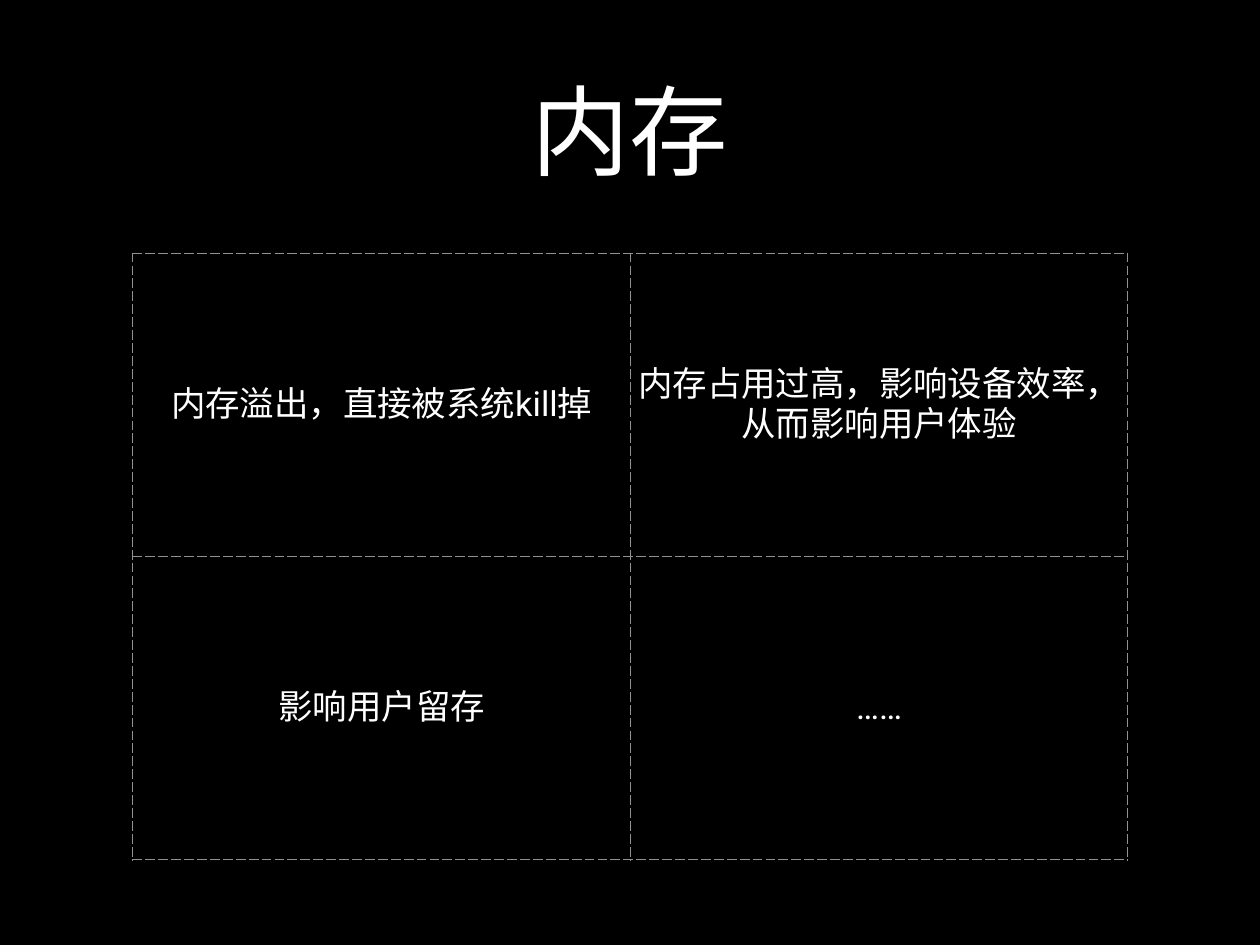
from dataclasses import dataclass

from lxml import etree
from pptx import Presentation
from pptx.dml.color import RGBColor
from pptx.enum.text import MSO_ANCHOR, PP_ALIGN
from pptx.oxml.ns import qn
from pptx.util import Cm, Pt

MIDDLE = MSO_ANCHOR.MIDDLE
CENTER = PP_ALIGN.CENTER
FONT = "Roboto"
WHITE, BLACK, GRAY = "FFFFFF", "000000", "929292"
INSET = Cm(0.15)
COLUMN_WIDTH, ROW_HEIGHT = Cm(14.26), Cm(8.69)


@dataclass(frozen=True)
class Impact:
    row: int
    column: int
    text: str


IMPACTS = [
    Impact(0, 0, "内存溢出，直接被系统kill掉"),
    Impact(0, 1, "内存占用过高，影响设备效率，从而影响用户体验"),
    Impact(1, 0, "影响用户留存"),
    Impact(1, 1, "……"),
]


def color(value: str) -> RGBColor:
    return RGBColor.from_string(value)


def write(frame, text: str, *, size: float, ink: str = WHITE) -> None:
    para = frame.paragraphs[0]
    para.alignment = CENTER
    span = para.add_run()
    span.text = text
    span.font.name = FONT
    span.font.size = Pt(size)
    span.font.bold = False
    span.font.color.rgb = color(ink)
    # East Asian glyphs use the same typeface
    etree.SubElement(span.font._element, qn("a:ea"), typeface=FONT)


def set_insets(holder) -> None:
    holder.margin_left = holder.margin_right = INSET
    holder.margin_top = holder.margin_bottom = INSET
    holder.vertical_anchor = MIDDLE


def add_dashed_borders(cell, *, ink: str, width: float) -> None:
    properties = cell._tc.get_or_add_tcPr()
    for index, side in enumerate("LRTB"):
        line = etree.Element(qn(f"a:ln{side}"), w=str(Pt(width)))
        fill = etree.SubElement(line, qn("a:solidFill"))
        etree.SubElement(fill, qn("a:srgbClr"), val=ink)
        etree.SubElement(line, qn("a:prstDash"), val="lgDash")
        properties.insert(index, line)


def add_title(page, text: str) -> None:
    box = page.shapes.add_textbox(Cm(2.64), Cm(0.71), Cm(30.84), Cm(5.99))
    box.text_frame.word_wrap = True
    set_insets(box.text_frame)
    write(box.text_frame, text, size=80)


def add_impact_table(page, impacts: list[Impact]) -> None:
    table = page.shapes.add_table(
        2, 2, Cm(3.81), Cm(7.26), COLUMN_WIDTH * 2, ROW_HEIGHT * 2
    ).table
    table.first_row = table.horz_banding = False
    for column in table.columns:
        column.width = COLUMN_WIDTH
    for row in table.rows:
        row.height = ROW_HEIGHT
    for impact in impacts:
        cell = table.cell(impact.row, impact.column)
        cell.fill.background()
        set_insets(cell)
        add_dashed_borders(cell, ink=GRAY, width=1)
        write(cell.text_frame, impact.text, size=28)


def main() -> None:
    deck = Presentation()
    deck.slide_width, deck.slide_height = Cm(36.12), Cm(27.1)
    page = deck.slides.add_slide(deck.slide_layouts[6])

    # Background
    page.background.fill.solid()
    page.background.fill.fore_color.rgb = color(BLACK)

    # Content
    add_title(page, "内存")
    add_impact_table(page, IMPACTS)
    deck.save("out.pptx")


if __name__ == "__main__":
    main()
